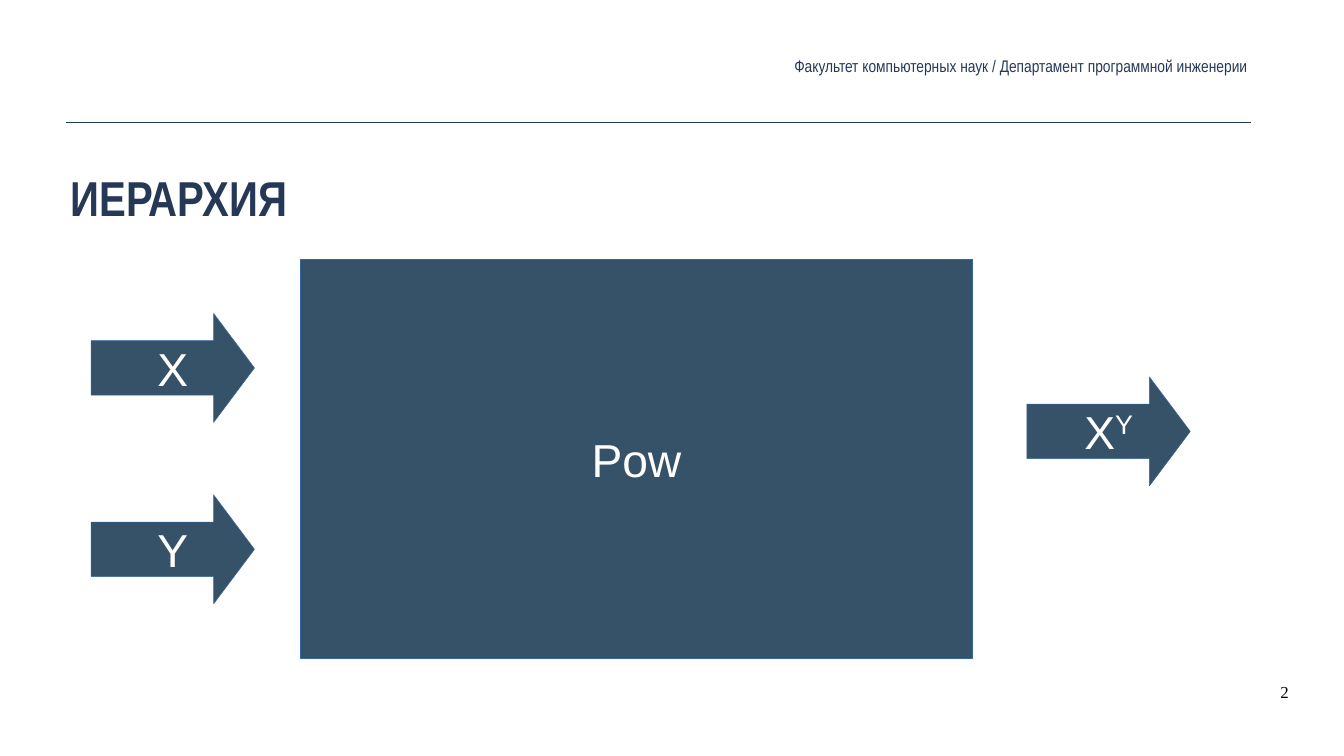
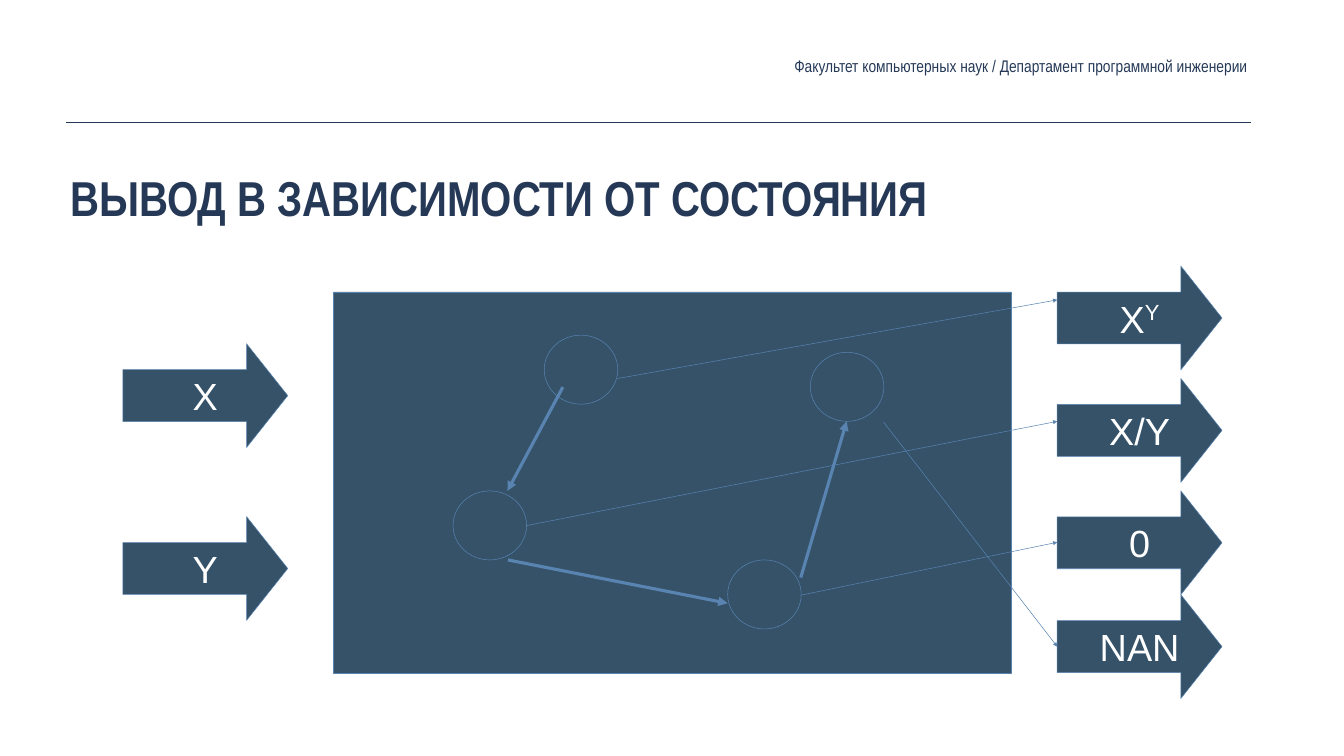
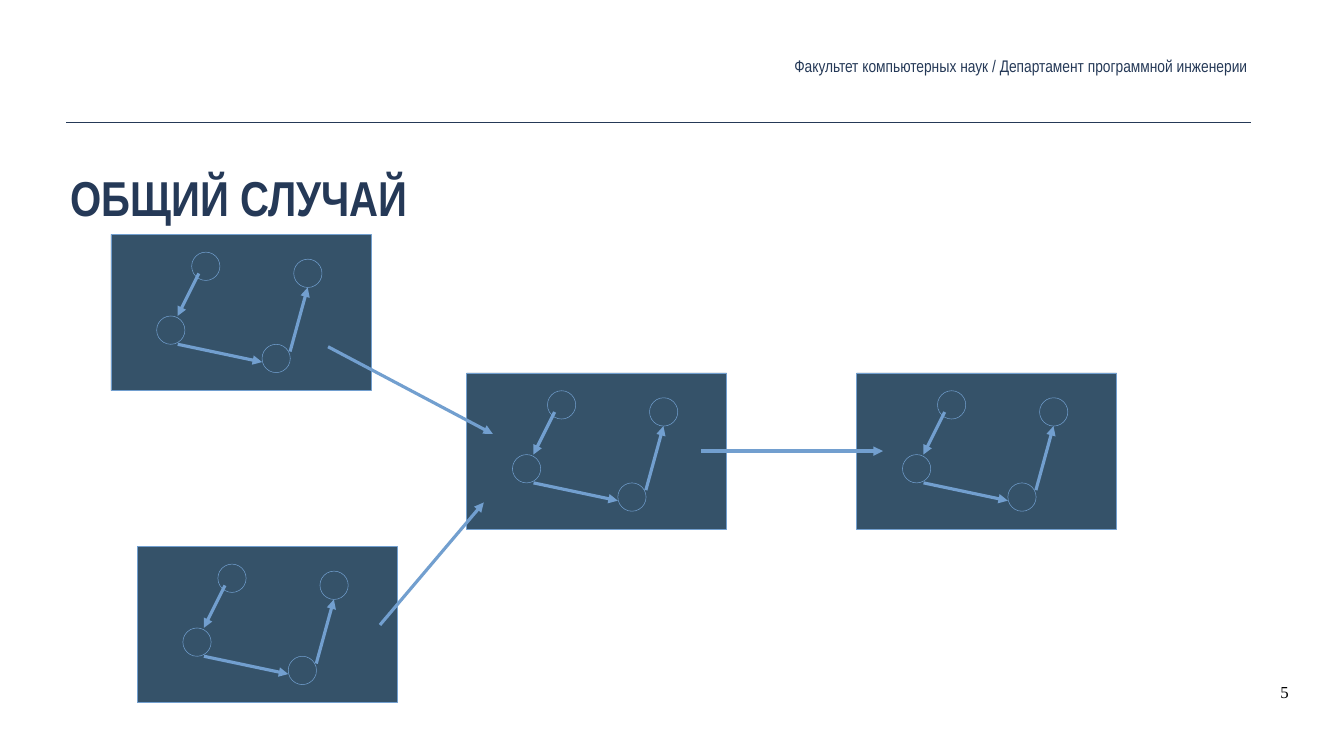
from lxml.etree import SubElement
from pptx import Presentation
from pptx.dml.color import RGBColor
from pptx.enum.shapes import MSO_CONNECTOR, MSO_SHAPE
from pptx.enum.text import MSO_ANCHOR, MSO_AUTO_SIZE, PP_ALIGN
from pptx.oxml.ns import qn
from pptx.util import Inches, Pt

# Shared look
rgb = RGBColor.from_string
NAVY, FILL, WHITE, BLACK = "253957", "355269", "FFFFFF", "000000"
HEADER = "Факультет компьютерных наук / Департамент программной инженерии"
TITLE_FONT = {"name": "Arial Narrow", "size": Pt(70), "bold": True}
HEADER_FONT = {"name": "Arial Narrow", "size": Pt(24)}
NUMBER_FONT = {"name": "Times New Roman", "size": Pt(24)}

# Title, page number, outline colour and label size of each slide
SLIDES = [
    ("ИЕРАРХИЯ", "2", "3465A4", 66),
    ("ВЫВОД В ЗАВИСИМОСТИ ОТ СОСТОЯНИЯ", "", "5983B0", 54),
    ("ОБЩИЙ СЛУЧАЙ", "5", "729FCF", 54),
]

# State machines: slide index and box; states scale from the large machine
MACHINES = [
    (1, 6.62, 5.79, 13.45, 7.56),
    (2, 9.26, 7.4, 5.16, 3.1),
    (2, 2.2, 4.65, 5.16, 3.1),
    (2, 2.72, 10.84, 5.16, 3.1),
    (2, 17, 7.4, 5.16, 3.1),
]
MACHINE_W, MACHINE_H = 13.45, 7.56
STATE_W, STATE_H = 1.46, 1.37
STATES = [(4.18, 0.86), (7.82, 5.32), (2.37, 3.95), (9.46, 1.2)]
TRANSITIONS = [
    ((4.55, 1.89), (3.45, 3.95)),
    ((3.46, 5.32), (7.82, 6.18)),
    ((9.27, 5.67), (10.18, 2.57)),
]

# Inputs and outputs: slide index, left, top, label (^ marks a power)
ARROW_SIZES = [(3.24, 2.16), (3.27, 2.06)]
ARROWS = [
    (0, 1.81, 6.22, "X"), (0, 1.81, 9.82, "Y"), (0, 20.38, 7.48, "X^Y"),
    (1, 2.44, 6.82, "X"), (1, 2.44, 10.25, "Y"),
    (1, 20.98, 5.28, "X^Y"), (1, 20.98, 7.51, "X/Y"),
    (1, 20.98, 9.74, "0"), (1, 20.98, 11.8, "NAN"),
]

# Links between machines and outputs: slide index, start, end, width
LINKS = [
    (1, (17.53, 8.37), (20.98, 12.83), 0.75),
    (1, (12.26, 7.51), (20.98, 5.95), 0.75),
    (1, (10.44, 10.43), (20.98, 8.36), 0.75),
    (1, (15.89, 11.81), (20.98, 10.76), 0.75),
    (2, (6.51, 6.88), (9.78, 8.61), 4.5),
    (2, (7.54, 12.4), (9.6, 9.97), 4.5),
    (2, (13.91, 8.95), (17.52, 8.95), 4.5),
]


def add_text(sp, text, font, color, align=PP_ALIGN.LEFT, anchor=MSO_ANCHOR.TOP,
             inset=(0.1, 0.05), wrap=True):
    tf = sp.text_frame
    frame = {"word_wrap": wrap, "auto_size": MSO_AUTO_SIZE.NONE, "vertical_anchor": anchor,
             "margin_left": Inches(inset[0]), "margin_right": Inches(inset[0]),
             "margin_top": Inches(inset[1]), "margin_bottom": Inches(inset[1])}
    for key, value in frame.items():
        setattr(tf, key, value)
    p = tf.paragraphs[0]
    p.alignment = align
    for i, part in enumerate(text.split("^")):
        r = p.add_run()
        r.text = part
        for key, value in font.items():
            setattr(r.font, key, value)
        r.font.color.rgb = rgb(color)
        if i:
            r.font._element.set("baseline", "33000")


def add_line(s, start, end, color, width, arrow=True):
    line = s.shapes.add_connector(MSO_CONNECTOR.STRAIGHT, *map(Inches, start + end))
    line.line.color.rgb = rgb(color)
    line.line.width = Pt(width)
    if arrow:
        SubElement(line.line._get_or_add_ln(), qn("a:tailEnd"), type="triangle")
    SubElement(line._element.spPr, qn("a:effectLst"))


prs = Presentation()
prs.slide_width, prs.slide_height = Inches(26.67), Inches(15)

# Rule, title, header and page number
for title, number, outline, size in SLIDES:
    s = prs.slides.add_slide(prs.slide_layouts[5])
    add_line(s, (1.31, 2.42), (24.83, 2.42), NAVY, 1, arrow=False)
    sp = s.shapes.title
    sp.left, sp.top, sp.width, sp.height = map(Inches, (1.32, 3.25, 23.43, 1.73))
    add_text(sp, title, TITLE_FONT, NAVY, inset=(0.08, 0.08))
    sp = s.shapes.add_textbox(*map(Inches, (12.4, 1.03, 12.43, 0.56)))
    add_text(sp, HEADER, HEADER_FONT, NAVY, PP_ALIGN.RIGHT, MSO_ANCHOR.MIDDLE, (0.08, 0.08))
    if number:
        sp = s.shapes.add_textbox(*map(Inches, (25.31, 13.47, 1.36, 0.47)))
        add_text(sp, number, NUMBER_FONT, BLACK)

# Filled shapes, each kept with its slide index and label
blocks = []
pow_box = prs.slides[0].shapes.add_shape(
    MSO_SHAPE.RECTANGLE, *map(Inches, (5.96, 5.14, 13.34, 7.93)))
blocks.append((0, pow_box, "Pow"))

# State machines
for index, x, y, w, h in MACHINES:
    s = prs.slides[index]
    kx, ky = w / MACHINE_W, h / MACHINE_H
    box = s.shapes.add_shape(MSO_SHAPE.RECTANGLE, *map(Inches, (x, y, w, h)))
    blocks.append((index, box, ""))
    for dx, dy in STATES:
        state = s.shapes.add_shape(MSO_SHAPE.OVAL, *map(
            Inches, (x + dx * kx, y + dy * ky, STATE_W * kx, STATE_H * ky)))
        blocks.append((index, state, ""))
    for transition in TRANSITIONS:
        start, end = [(x + dx * kx, y + dy * ky) for dx, dy in transition]
        add_line(s, start, end, SLIDES[index][2], 4.5)

# Input and output arrows
for index, x, y, label in ARROWS:
    w, h = ARROW_SIZES[index]
    neck, tip, upper, lower = x + 0.75 * w, x + w, y + h / 4, y + 0.75 * h
    outline = [(x, upper), (neck, upper), (neck, y), (tip, y + h / 2),
               (neck, y + h), (neck, lower), (x, lower)]
    points = [(Inches(px), Inches(py)) for px, py in outline]
    builder = prs.slides[index].shapes.build_freeform(*points[0])
    builder.add_line_segments(points[1:], close=True)
    blocks.append((index, builder.convert_to_shape(), label))

# Fill, outline and label of every block
for index, sp, label in blocks:
    outline, size = SLIDES[index][2:]
    sp.shadow.inherit = False
    sp.fill.solid()
    sp.fill.fore_color.rgb = rgb(FILL)
    sp.line.color.rgb = rgb(outline)
    sp.line.width = Pt(0.75)
    if label:
        add_text(sp, label, {"name": "Arial", "size": Pt(size)}, WHITE,
                 PP_ALIGN.CENTER, MSO_ANCHOR.MIDDLE, wrap=False)

# Links
for index, start, end, width in LINKS:
    add_line(prs.slides[index], start, end, SLIDES[index][2], width)

prs.save("out.pptx")
